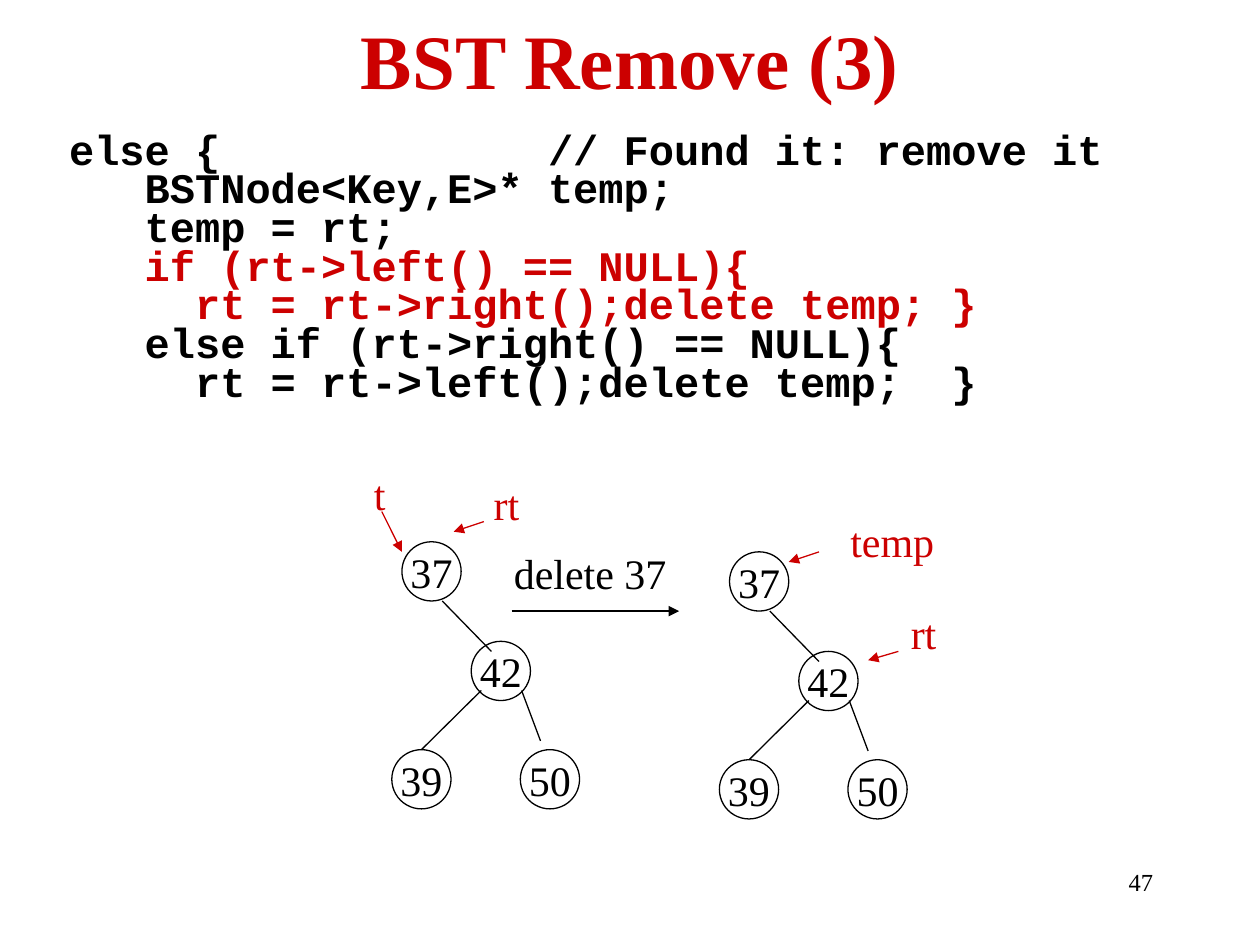
from pptx import Presentation
from pptx.dml.color import RGBColor
from pptx.enum.shapes import MSO_CONNECTOR, MSO_SHAPE
from pptx.enum.text import MSO_ANCHOR, MSO_AUTO_SIZE, PP_ALIGN
from pptx.oxml.ns import qn
from pptx.util import Inches, Pt
from lxml import etree

COLORS = {"black": "000000", "red": "CC0000", "white": "FFFFFF"}
SERIF, MONO = "Times New Roman", "Courier New"


def rgb(name):
    return RGBColor.from_string(COLORS[name])


class SlideBuilder:
    """Holds the slide and the shared style."""

    node_size = 0.47
    line_width = Pt(0.75)
    text_size = 24

    def __init__(self, slide):
        self.slide = slide

    def style(self, paragraph, color="black", size=text_size, font=SERIF, bold=False):
        paragraph.font.name = font
        paragraph.font.size = Pt(size)
        paragraph.font.bold = bold
        paragraph.font.color.rgb = rgb(color)

    def text(self, words, left, top, width, height=0.5, wrap=False,
             align=PP_ALIGN.LEFT, anchor=MSO_ANCHOR.TOP, **style):
        box = self.slide.shapes.add_textbox(
            Inches(left), Inches(top), Inches(width), Inches(height))
        frame = box.text_frame
        frame.word_wrap = wrap
        if not wrap:
            frame.auto_size = MSO_AUTO_SIZE.SHAPE_TO_FIT_TEXT
        frame.vertical_anchor = anchor
        paragraph = frame.paragraphs[0]
        paragraph.text = words
        paragraph.alignment = align
        self.style(paragraph, **style)

    def code(self, lines, left, top, width, height):
        box = self.slide.shapes.add_textbox(
            Inches(left), Inches(top), Inches(width), Inches(height))
        frame = box.text_frame
        frame.word_wrap = True
        for index, (words, color) in enumerate(lines):
            paragraph = frame.add_paragraph() if index else frame.paragraphs[0]
            paragraph.text = words
            paragraph.line_spacing = 0.6
            paragraph.space_before = Pt(4.8 if index else 0)
            self.style(paragraph, color, font=MONO, bold=True)

    def node(self, key, left, top):
        circle = self.slide.shapes.add_shape(
            MSO_SHAPE.OVAL, Inches(left), Inches(top),
            Inches(self.node_size), Inches(self.node_size))
        circle.shadow.inherit = False
        circle.fill.background()
        circle.line.color.rgb = rgb("black")
        circle.line.width = self.line_width
        frame = circle.text_frame
        frame.word_wrap = False
        frame.vertical_anchor = MSO_ANCHOR.MIDDLE
        paragraph = frame.paragraphs[0]
        paragraph.text = key
        paragraph.alignment = PP_ALIGN.CENTER
        self.style(paragraph)
        return circle

    def line(self, start, end, color="black", arrow=False):
        connector = self.slide.shapes.add_connector(
            MSO_CONNECTOR.STRAIGHT, *(Inches(v) for v in (*start, *end)))
        connector.line.color.rgb = rgb(color)
        connector.line.width = self.line_width
        if arrow:
            head = etree.SubElement(connector.line._get_or_add_ln(), qn("a:tailEnd"))
            head.set("type", "triangle")
        etree.SubElement(connector._element.spPr, qn("a:effectLst"))
        return connector

    def tree(self, left, top):
        """Draws the four-node tree; left and top belong to its root."""
        nodes = {key: self.node(key, left + dx, top + dy) for key, dx, dy in TREE_NODES}
        for x1, y1, x2, y2, child in TREE_EDGES:
            edge = self.line((left + x1, top + y1), (left + x2, top + y2))
            if child:
                edge.end_connect(nodes[child], 0)


# Offsets from the root; an edge names the child whose top it joins
TREE_NODES = [("37", 0, 0), ("42", 0.55, 0.79), ("39", -0.08, 1.65), ("50", 0.94, 1.65)]
TREE_EDGES = [
    (0.32, 0.47, 0.71, 0.87, None),
    (0.63, 1.18, 0.16, 1.65, "39"),
    (0.95, 1.18, 1.1, 1.58, None),
]

CODE = [
    (" else {             // Found it: remove it", "black"),
    ("    BSTNode<Key,E>* temp;", "black"),
    ("    temp = rt;", "black"),
    ("    if (rt->left() == NULL){", "red"),
    ("      rt = rt->right();delete temp; }", "red"),
    ("    else if (rt->right() == NULL){", "black"),
    ("      rt = rt->left();delete temp;  }", "black"),
]

# Pointer name, its left, top and width, then arrow start and end
POINTERS = [
    ("t", 2.87, 3.67, 0.3, (3.03, 4.06), (3.19, 4.38)),
    ("rt", 3.82, 3.75, 0.42, (3.84, 4.14), (3.6, 4.22)),
    ("temp", 6.65, 4.04, 0.88, (6.5, 4.38), (6.26, 4.46)),
    ("rt", 7.13, 4.77, 0.42, (7.13, 5.17), (6.89, 5.24)),
]


def main():
    deck = Presentation()
    deck.slide_width, deck.slide_height = Inches(10), Inches(7.5)
    slide = deck.slides.add_slide(deck.slide_layouts[6])
    slide.background.fill.solid()
    slide.background.fill.fore_color.rgb = rgb("white")
    builder = SlideBuilder(slide)

    # Title and code
    builder.text("BST Remove (3)", 0.5, -0.03, 9, 1, wrap=True, align=PP_ALIGN.CENTER,
                 anchor=MSO_ANCHOR.MIDDLE, color="red", size=44, bold=True)
    builder.code(CODE, 0.25, 1.07, 9.5, 5)

    # Tree before and after the removal
    builder.tree(3.19, 4.3)
    builder.tree(5.79, 4.38)
    builder.text("delete 37", 3.98, 4.3, 1.41)
    builder.line((4.06, 4.85), (5.39, 4.85), arrow=True)

    # Pointers into the trees
    for name, left, top, width, start, end in POINTERS:
        builder.text(name, left, top, width, color="red")
        builder.line(start, end, "red", arrow=True)

    # Page number
    builder.text("47", 7.17, 6.83, 2.08, wrap=True, align=PP_ALIGN.RIGHT, size=14)

    deck.save("out.pptx")


if __name__ == "__main__":
    main()
